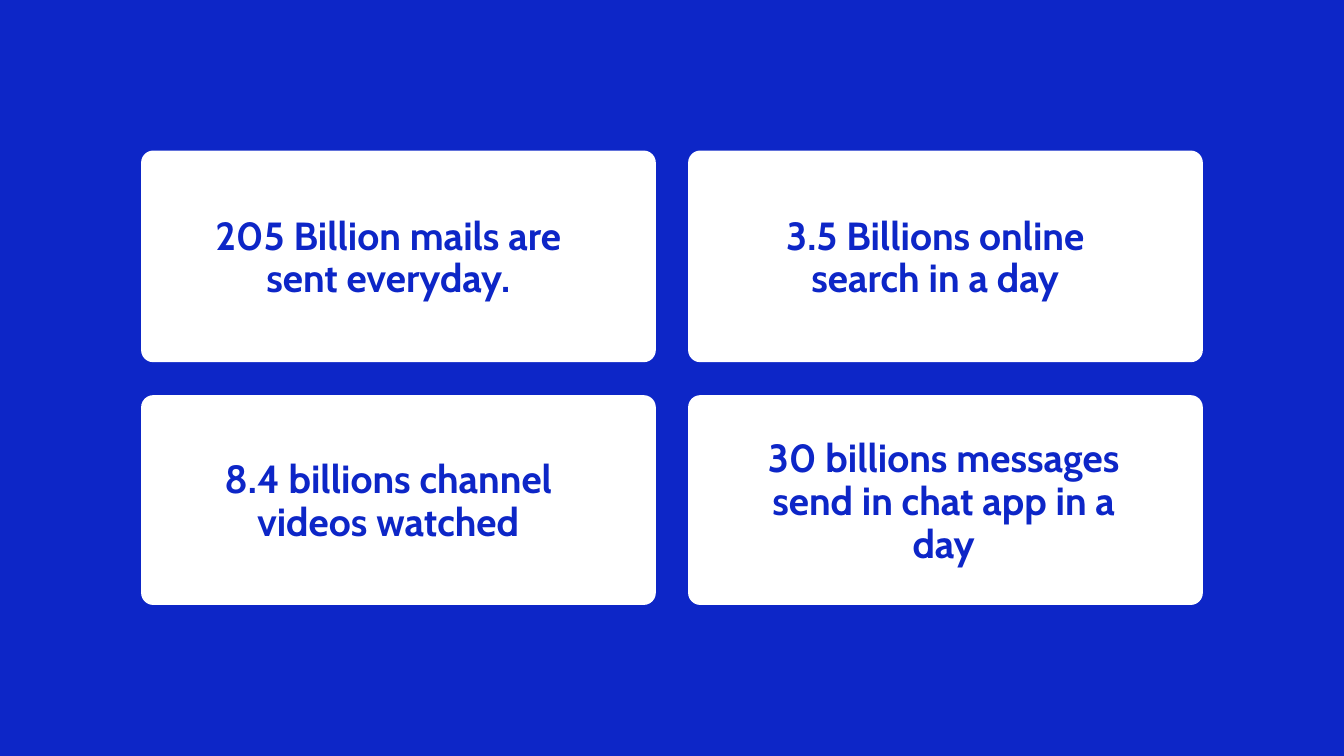
from dataclasses import dataclass

from pptx import Presentation
from pptx.dml.color import RGBColor
from pptx.enum.shapes import MSO_SHAPE
from pptx.enum.text import PP_ALIGN
from pptx.slide import Slide
from pptx.util import Pt


@dataclass(frozen=True)
class Theme:
    blue: RGBColor = RGBColor(0x0D, 0x26, 0xC7)
    white: RGBColor = RGBColor(0xFF, 0xFF, 0xFF)
    font: str = "Cabin"
    size: float = 42
    leading: float = 45.8


@dataclass(frozen=True)
class Fact:
    text: str
    col: int
    row: int
    lines: int = 2
    shift: float = -11  # text centre relative to card centre


THEME = Theme()
SLIDE_W, SLIDE_H = 1440, 810
CARD_W, CARD_GAP, CARD_LEFT = 551.5, 34.6, 151.2
CARD_TOPS, CARD_HEIGHTS = (161.3, 423.4), (226.8, 224.8)
CORNER = 13
TEXT_W, TEXT_INSET, TEXT_RISE = 410, 6.5, 1.5

FACTS = [
    Fact("205 Billion mails are sent everyday.", 0, 0),
    Fact("8.4 billions channel videos watched", 0, 1),
    Fact("3.5 Billions online search in a day", 1, 0),
    Fact("30 billions messages send in chat app in a day", 1, 1, lines=3, shift=-2),
]


def add_block(s: Slide, kind: MSO_SHAPE, left: float, top: float,
              width: float, height: float, color: RGBColor):
    sp = s.shapes.add_shape(kind, Pt(left), Pt(top), Pt(width), Pt(height))
    sp.shadow.inherit = False
    sp.fill.solid()
    sp.fill.fore_color.rgb = color
    sp.line.fill.background()
    return sp


def add_text(s: Slide, text: str, *, left: float, top: float, width: float, height: float,
             size: float = THEME.size, color: RGBColor = THEME.blue, bold: bool = True,
             align: PP_ALIGN = PP_ALIGN.CENTER) -> None:
    tf = s.shapes.add_textbox(Pt(left), Pt(top), Pt(width), Pt(height)).text_frame
    tf.word_wrap = True
    tf.margin_left = tf.margin_right = tf.margin_bottom = 0
    tf.margin_top = Pt(TEXT_INSET)
    p = tf.paragraphs[0]
    p.alignment = align
    p.line_spacing = Pt(THEME.leading)
    r = p.add_run()
    r.text = text
    r.font.name, r.font.size, r.font.bold = THEME.font, Pt(size), bold
    r.font.color.rgb = color


def add_fact(s: Slide, fact: Fact) -> None:
    left = CARD_LEFT + fact.col * (CARD_W + CARD_GAP)
    top, height = CARD_TOPS[fact.row], CARD_HEIGHTS[fact.row]
    card = add_block(s, MSO_SHAPE.ROUNDED_RECTANGLE, left, top, CARD_W, height, THEME.white)
    card.adjustments[0] = CORNER / height

    # Text box just above the vertical centre of its card
    text_h = fact.lines * THEME.leading + TEXT_INSET
    add_text(s, fact.text, left=left + (CARD_W - TEXT_W) / 2 + fact.shift,
             top=top + (height - text_h) / 2 - TEXT_RISE, width=TEXT_W, height=text_h)


def main() -> None:
    prs = Presentation()
    prs.slide_width, prs.slide_height = Pt(SLIDE_W), Pt(SLIDE_H)
    s = prs.slides.add_slide(prs.slide_layouts[6])

    # Blue backdrop
    add_block(s, MSO_SHAPE.RECTANGLE, 0, 0, SLIDE_W, SLIDE_H, THEME.blue)

    # Fact cards
    for fact in FACTS:
        add_fact(s, fact)
    prs.save("out.pptx")


if __name__ == "__main__":
    main()
